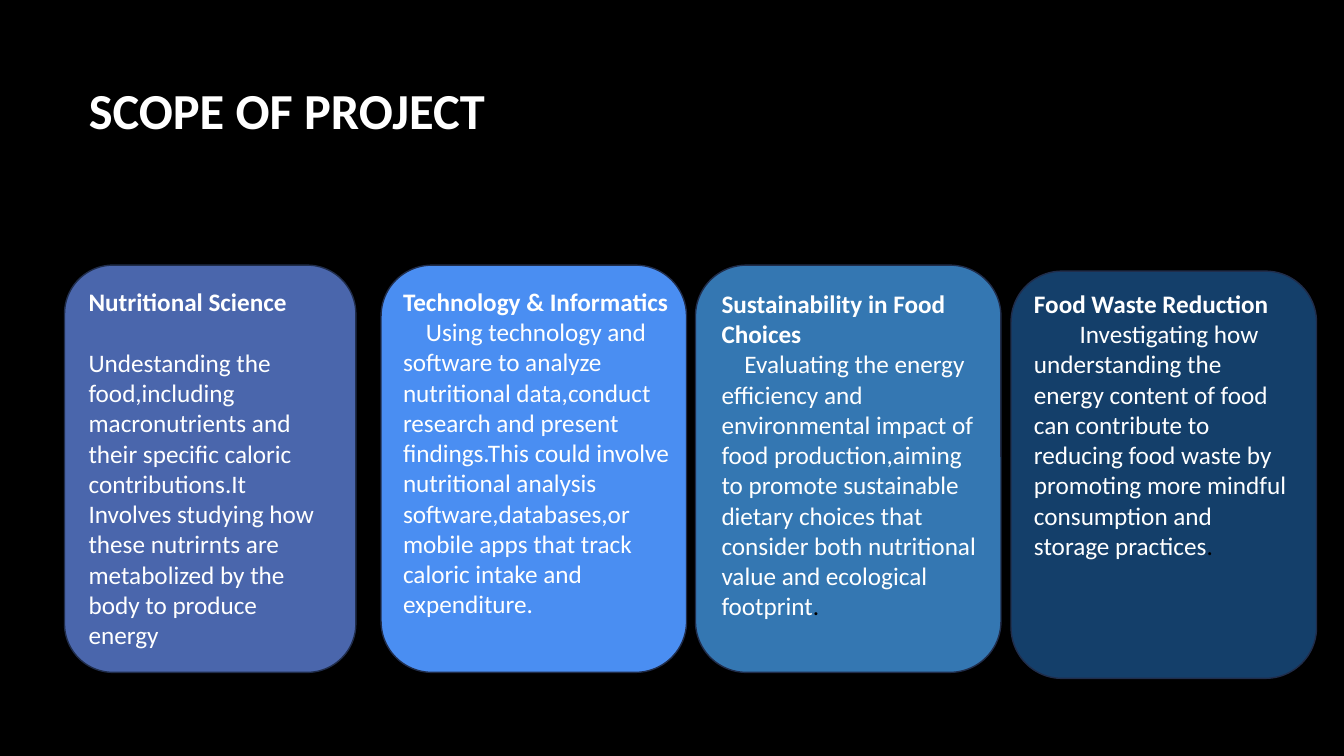
from dataclasses import dataclass

from pptx import Presentation
from pptx.dml.color import RGBColor as Rgb
from pptx.enum.shapes import MSO_SHAPE as Shape
from pptx.enum.text import MSO_ANCHOR as Anchor, MSO_AUTO_SIZE as Fit, PP_ALIGN as Align
from pptx.slide import Slide
from pptx.util import Pt

COLORS = {
    "black": "000000",
    "white": "FFFFFF",
    "edge": "202D4B",
    "indigo": "4A66AC",
    "azure": "4A8EF2",
    "steel": "3477B2",
    "navy": "143F6A",
}
FONT = "Calibri"
CARD_TOP, CARD_HIGH = 189.4, 290.9


@dataclass
class Card:
    fill: str
    left: float
    wide: float
    text_left: float
    text_top: float
    text_wide: float
    head: str
    body: list[str]
    drop: float = 0     # shift below the common top edge
    indent: float = 0   # first line of the body
    gap: float = 0      # space under the heading
    dot: bool = False   # black full stop at the end


CARDS = [
    Card("indigo", 46.1, 208.1, 56.2, 200.9, 182.2, "Nutritional Science",
         ["Undestanding the food,including macronutrients and their specific "
          "caloric contributions.It",
          "Involves studying how these nutrirnts are metabolized by the body "
          "to produce energy"], gap=22),
    Card("azure", 272.2, 218.2, 280.8, 200.9, 209.5, "Technology & Informatics",
         ["Using technology and software to analyze nutritional data,conduct "
          "research and present findings.This could involve nutritional analysis "
          "software,databases,or mobile apps that track caloric intake and "
          "expenditure."], indent=16.3),
    Card("steel", 496.8, 218.2, 508.3, 202.3, 198.7, "Sustainability in Food Choices",
         ["Evaluating the energy efficiency and environmental impact of food "
          "production,aiming to promote sustainable dietary choices that consider "
          "both nutritional value and ecological footprint"], indent=16.3, dot=True),
    Card("navy", 722.2, 218.2, 731.5, 202.3, 198.7, "Food Waste Reduction",
         ["Investigating how understanding the energy content of food can "
          "contribute to reducing food waste by promoting more mindful consumption "
          "and storage practices"], drop=4.3, indent=32.5, dot=True),
]


def tint(name: str) -> Rgb:
    return Rgb.from_string(COLORS[name])


def style(run, size: float, bold: bool, color: str = "white") -> None:
    font = run.font
    font.name, font.size, font.bold = FONT, Pt(size), bold
    font.color.rgb = tint(color)


def draw_card(slide: Slide, card: Card) -> None:
    # Rounded panel
    panel = slide.shapes.add_shape(
        Shape.ROUNDED_RECTANGLE, Pt(card.left), Pt(CARD_TOP + card.drop),
        Pt(card.wide), Pt(CARD_HIGH))
    panel.shadow.inherit = False
    panel.fill.solid()
    panel.fill.fore_color.rgb = tint(card.fill)
    panel.line.color.rgb = tint("edge")
    panel.line.width = Pt(1)

    # Heading and body text
    box = slide.shapes.add_textbox(
        Pt(card.text_left), Pt(card.text_top), Pt(card.text_wide), Pt(247))
    frame = box.text_frame
    frame.word_wrap = True
    frame.text = "\n".join([card.head, *card.body])
    for i, para in enumerate(frame.paragraphs):
        style(para.runs[0], 18, bold=i == 0)
    frame.paragraphs[0].space_after = Pt(card.gap)
    if card.indent:
        props = frame.paragraphs[1]._p.get_or_add_pPr()
        props.set("indent", str(Pt(card.indent)))
    if card.dot:
        stop = frame.paragraphs[-1].add_run()
        stop.text = "."
        style(stop, 18, False, "black")


def draw_title(slide: Slide, text: str) -> None:
    title = slide.shapes.title
    title.left, title.top = Pt(56.2), Pt(52.6)
    title.width, title.height = Pt(414.7), Pt(51.1)
    frame = title.text_frame
    frame.text = text
    frame.word_wrap = True
    frame.auto_size = Fit.NONE
    frame.vertical_anchor = Anchor.TOP
    para = frame.paragraphs[0]
    para.alignment = Align.LEFT
    style(para.runs[0], 36, True)


def main() -> None:
    deck = Presentation()
    deck.slide_width, deck.slide_height = Pt(960), Pt(540)
    slide = deck.slides.add_slide(deck.slide_layouts[5])
    back = slide.background.fill
    back.solid()
    back.fore_color.rgb = tint("black")

    draw_title(slide, "SCOPE OF PROJECT")
    for card in CARDS:
        draw_card(slide, card)
    deck.save("out.pptx")


if __name__ == "__main__":
    main()
